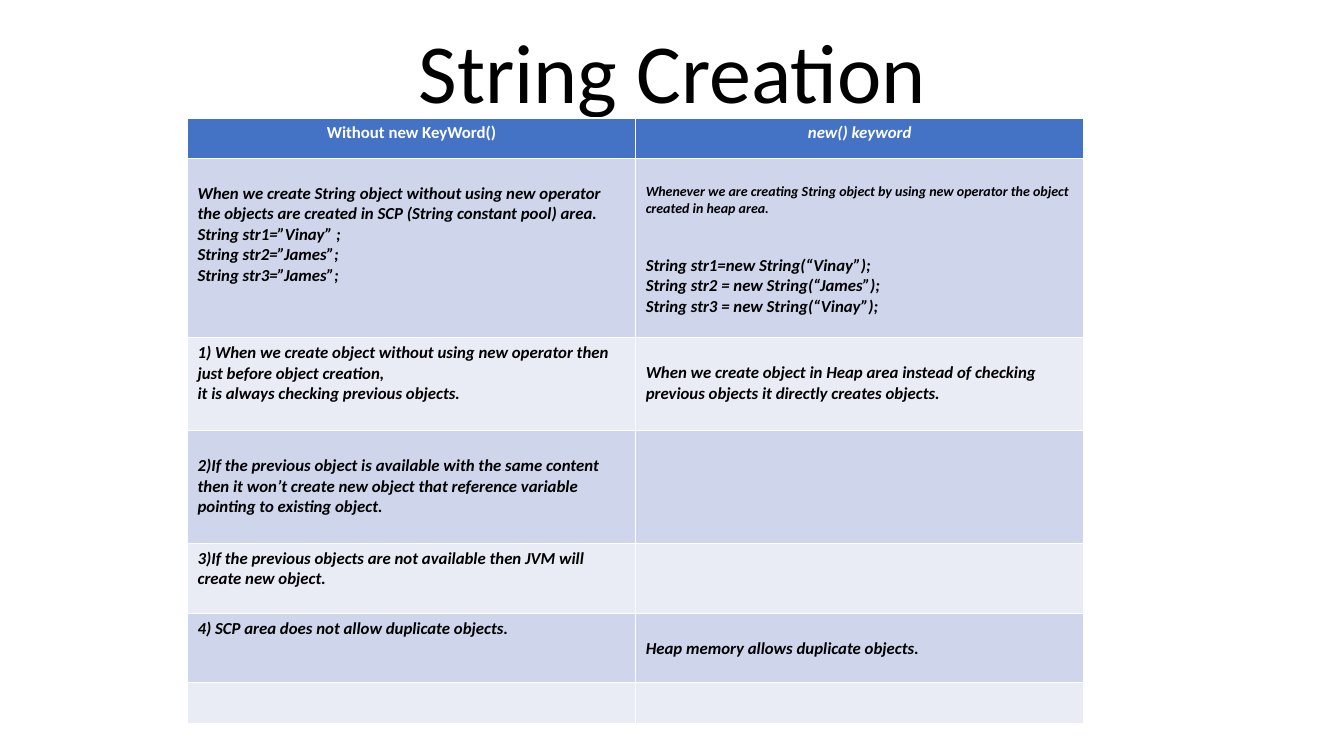
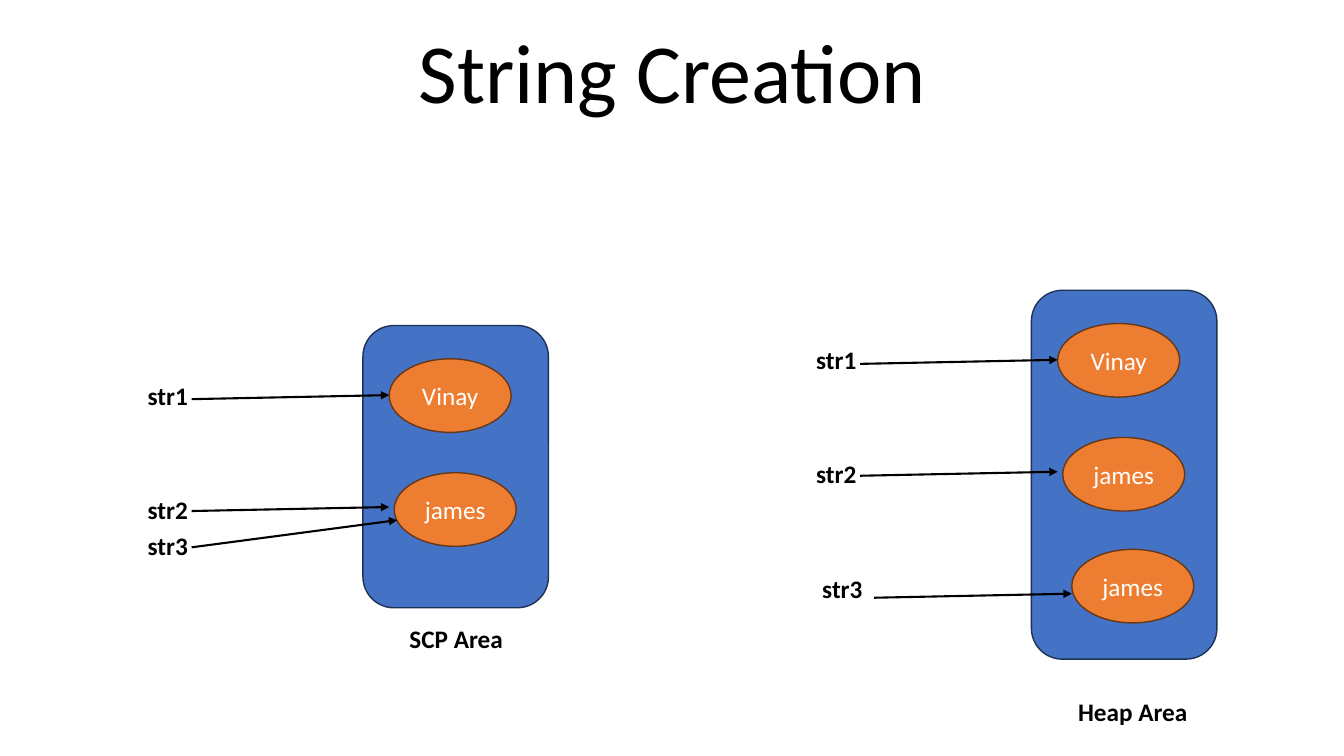
import pptx
import pptx.util
import pptx.dml.color
import pptx.enum.shapes
import pptx.enum.text
import pptx.oxml
import pptx.oxml.ns

WIDE, HIGH = 13.33, 7.5
FONT = "Calibri"
BLACK, WHITE = "000000", "FFFFFF"
BLUE, NAVY = "4472C4", "1E3256"
ORANGE, BROWN = "ED7D31", "683715"
BANDS = ["CFD5EA", "E9EBF5"]
SHAPE = pptx.enum.shapes.MSO_SHAPE
ALIGN = pptx.enum.text.PP_ALIGN
ANCHOR = pptx.enum.text.MSO_ANCHOR
FIT = pptx.enum.text.MSO_AUTO_SIZE
INDENT = 0.25

HEADS = [("Without new KeyWord()", False), ("new() keyword", True)]
ROWS = [
    (1.78,
     (INDENT, [("When we create String object without using new operator the objects are "
                "created in SCP (String constant pool) area.\nString str1=”Vinay” ;", 12, 0),
               ("String str2=”James”;", 12, 0),
               ("String str3=”James”;", 12, 0)]),
     (INDENT, [("Whenever we are creating String object by using new operator the object "
                "created in heap area.", 10, 0),
               ("String str1=new String(“Vinay”);", 12, 27),
               ("String str2 = new String(“James”);", 12, 0),
               ("String str3 = new String(“Vinay”);", 12, 0)])),
    (0.92,
     (0.05, [("1) When we create object without using new operator then just before object "
              "creation,", 12, 0),
             ("it is always checking previous objects.", 12, 0)]),
     (INDENT, [("When we create object in Heap area instead of checking previous objects it "
                "directly creates objects.", 12, 0)])),
    (1.12,
     (INDENT, [("2)If the previous object is available with the same content then it won’t "
                "create new object that reference variable pointing to existing object.", 12, 0)]),
     (0.05, [])),
    (0.7,
     (0.05, [("3)If the previous objects are not available then JVM will create new object.",
              12, 0)]),
     (0.05, [])),
    (0.68,
     (0.05, [("4) SCP area does not allow duplicate objects.", 12, 0)]),
     (INDENT, [("Heap memory allows duplicate objects.", 12, 0)])),
    (0.4, (0.05, []), (0.05, [])),
]

SPOTS = [(0.26, 0.33), (0.31, 1.46), (0.4, 2.57)]
SHARED = [
    ("str1", (-3.1, 0.49), (-1.7, 0.73), (0.26, 0.69)),
    ("str2", (-3.1, 1.62), (-1.7, 1.84), (0.26, 1.8)),
]
SCP = {
    "box": (3.6, 3.23, 1.84, 2.8), "name": "SCP Area", "foot": (-0.24, 2.9),
    "items": ["Vinay", "james"],
    "refs": SHARED + [("str3", (-3.1, 1.98), (-1.7, 2.2), (0.34, 1.93))],
}
HEAP = {
    "box": (10.23, 2.88, 1.84, 3.66), "name": "Heap Area", "foot": (-0.16, 3.98),
    "items": ["Vinay", "james", "james"],
    "refs": SHARED + [("str3", (-3.04, 2.76), (-1.56, 3.05), (0.4, 3.01))],
}


def color(code):
    """Turn a hex string into a colour."""
    return pptx.dml.color.RGBColor.from_string(code)


def grid(*cells):
    """Turn counts of one-inch grid squares into lengths."""
    return [pptx.util.Inches(cell) for cell in cells]


def write(para, text, size, tone, bold=False, slant=False, align=None):
    """Add text to a paragraph, one run for each line."""
    para.alignment = align
    for spot, line in enumerate(text.split("\n")):
        if spot:
            para.add_line_break()
        run = para.add_run()
        run.text = line
        font = run.font
        font.name, font.size = FONT, pptx.util.Pt(size)
        font.bold, font.italic = bold, slant
        font.color.rgb = color(tone)


def page(deck, text):
    """Add a slide with the shared title."""
    slide = deck.slides.add_slide(deck.slide_layouts[5])
    title = slide.shapes.title
    title.left, title.top, title.width, title.height = grid(1.67, 0.25, 10, 1.01)
    frame = title.text_frame
    frame.auto_size = FIT.NONE
    frame.vertical_anchor = ANCHOR.BOTTOM
    frame.paragraphs[0].line_spacing = 0.9
    write(frame.paragraphs[0], text, 60, BLACK, align=ALIGN.CENTER)
    return slide


def paint(cell, tone):
    """Fill a table cell."""
    cell.fill.solid()
    cell.fill.fore_color.rgb = color(tone)


def chart(slide, left, top, width):
    """Draw the table that compares the two ways to create strings."""
    high = [0.4] + [row[0] for row in ROWS]
    table = slide.shapes.add_table(
        len(high), len(HEADS), *grid(left, top, width, sum(high))).table
    for col in table.columns:
        col.width = pptx.util.Inches(width / len(HEADS))
    for row, size in zip(table.rows, high):
        row.height = pptx.util.Inches(size)
    for col, (text, slant) in enumerate(HEADS):
        cell = table.cell(0, col)
        paint(cell, BLUE)
        write(cell.text_frame.paragraphs[0], text, 12, WHITE, True, slant, ALIGN.CENTER)
    for row, (_, *cells) in enumerate(ROWS, 1):
        for col, (inset, lines) in enumerate(cells):
            cell = table.cell(row, col)
            paint(cell, BANDS[(row - 1) % 2])
            cell.margin_top = pptx.util.Inches(inset)
            frame = cell.text_frame
            for spot, (text, size, gap) in enumerate(lines):
                para = frame.add_paragraph() if spot else frame.paragraphs[0]
                if gap:
                    para.space_before = pptx.util.Pt(gap)
                write(para, text, size, BLACK, True, True)


def block(slide, kind, box, fill, edge, text=""):
    """Draw a filled shape with an edge and centred text."""
    shape = slide.shapes.add_shape(kind, *grid(*box))
    shape.shadow.inherit = False
    shape.fill.solid()
    shape.fill.fore_color.rgb = color(fill)
    shape.line.color.rgb = color(edge)
    shape.line.width = pptx.util.Pt(1)
    if text:
        shape.text_frame.vertical_anchor = ANCHOR.MIDDLE
        write(shape.text_frame.paragraphs[0], text, 18, WHITE, align=ALIGN.CENTER)


def label(slide, left, top, text):
    """Place a bold centred label."""
    frame = slide.shapes.add_textbox(*grid(left, top, 2.33, 0.4)).text_frame
    frame.word_wrap = True
    frame.auto_size = FIT.SHAPE_TO_FIT_TEXT
    write(frame.paragraphs[0], text, 18, BLACK, True, align=ALIGN.CENTER)


def arrow(slide, start, end):
    """Draw a straight arrow."""
    line = slide.shapes.add_connector(
        pptx.enum.shapes.MSO_CONNECTOR.STRAIGHT, *grid(*start, *end))
    line.line.color.rgb = color(BLACK)
    line.line.width = pptx.util.Pt(1.5)
    stroke = line.line._get_or_add_ln()
    tip = pptx.oxml.ns.qn("a:tailEnd")
    stroke.append(stroke.makeelement(tip, {"type": "triangle"}))
    props = stroke.getparent()
    props.append(props.makeelement(pptx.oxml.ns.qn("a:effectLst"), {}))


def area(slide, box, name, foot, items, refs):
    """Draw a memory area with its objects and the variables that refer to them."""
    def at(spot):
        return box[0] + spot[0], box[1] + spot[1]

    block(slide, SHAPE.ROUNDED_RECTANGLE, box, BLUE, NAVY)
    for text, spot in zip(items, SPOTS):
        block(slide, SHAPE.OVAL, (*at(spot), 1.21, 0.73), ORANGE, BROWN, text)
    label(slide, *at(foot), name)
    for text, spot, start, end in refs:
        label(slide, *at(spot), text)
        arrow(slide, at(start), at(end))


def main():
    """Build both slides and save them."""
    deck = pptx.Presentation()
    deck.slide_width, deck.slide_height = grid(WIDE, HIGH)
    chart(page(deck, "String Creation"), 1.86, 1.17, 8.89)
    slide = page(deck, "String Creation")
    area(slide, **SCP)
    area(slide, **HEAP)
    deck.save("out.pptx")


main()
